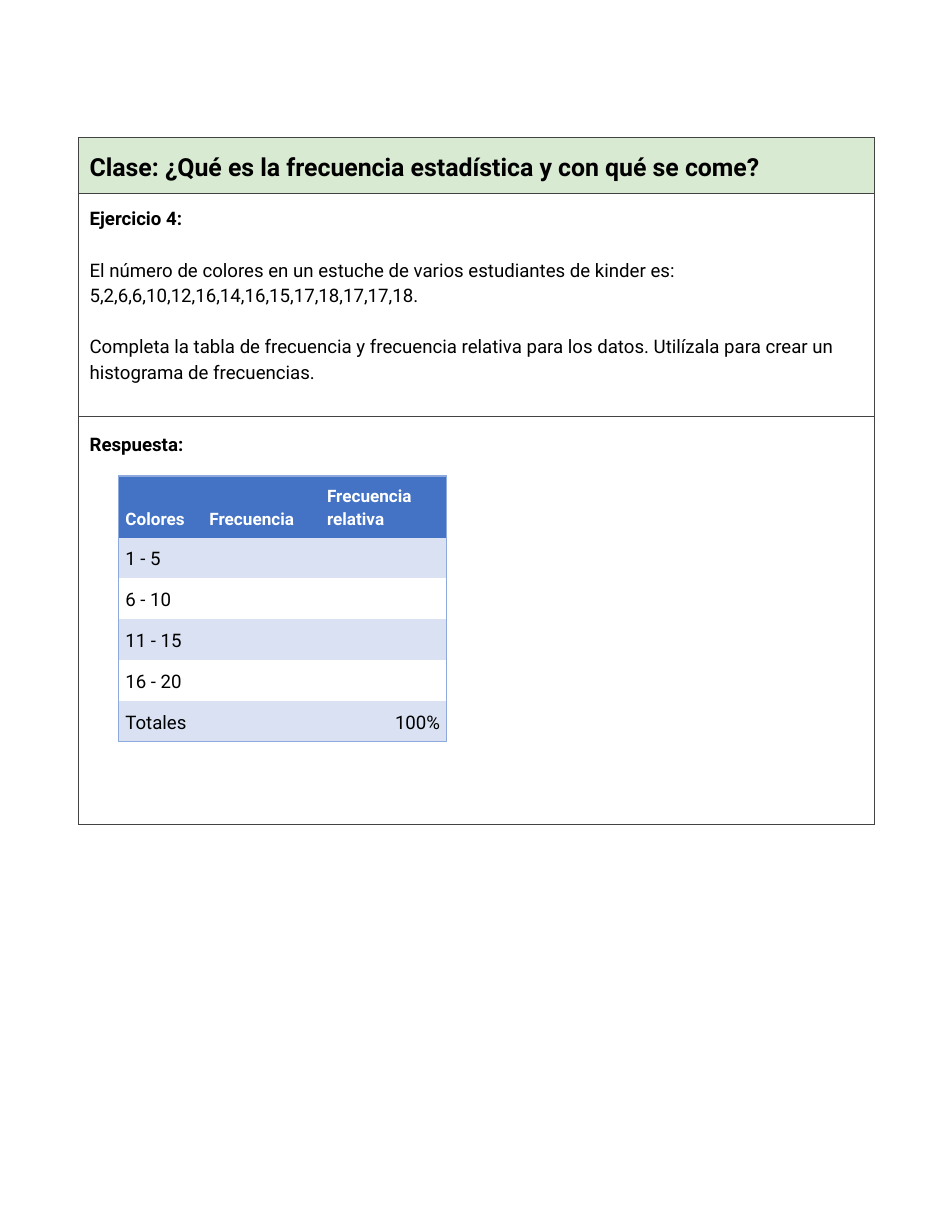
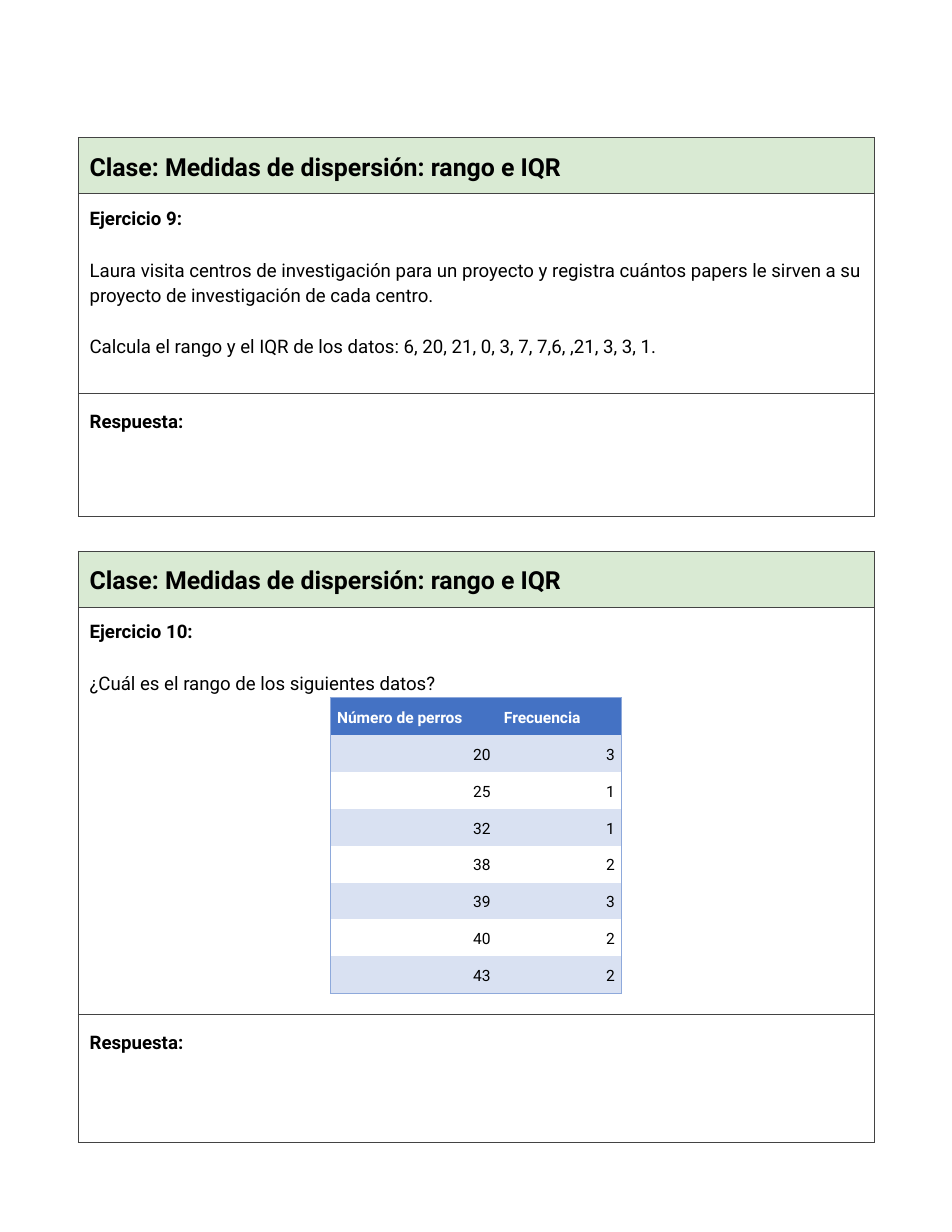
from dataclasses import dataclass

from lxml.etree import SubElement
from pptx import Presentation
from pptx.dml.color import RGBColor
from pptx.enum.text import MSO_ANCHOR, PP_ALIGN
from pptx.oxml.ns import qn
from pptx.util import Inches, Pt

DISPERSION = "Clase: Medidas de dispersión: rango e IQR"
ANSWER_LABEL = "Respuesta:"

SLIDES = [
    {
        "cards": [{
            "top": 1.23,
            "heights": [0.5, 1.99, 3.64],
            "title": "Clase: ¿Qué es la frecuencia estadística y con qué se come?",
            "exercise": [
                "Ejercicio 4:",
                "El número de colores en un estuche de varios estudiantes de kinder es: "
                "5,2,6,6,10,12,16,14,16,15,17,18,17,17,18.",
                "Completa la tabla de frecuencia y frecuencia relativa para los datos. "
                "Utilízala para crear un histograma de frecuencias.",
            ],
        }],
        "data": [{
            "left": 1.06, "top": 4.25,
            "widths": [0.75, 1.05, 1.13],
            "header_height": 0.54, "row_height": 0.36,
            "header_size": 11, "body_size": 12,
            "right_columns": [2],
            "rows": [
                ("Colores", "Frecuencia", "Frecuencia relativa"),
                ("1 - 5", "", ""),
                ("6 - 10", "", ""),
                ("11 - 15", "", ""),
                ("16 - 20", "", ""),
                ("Totales", "", "100%"),
            ],
        }],
    },
    {
        "cards": [
            {
                "top": 1.23,
                "heights": [0.5, 1.78, 1.1],
                "title": DISPERSION,
                "exercise": [
                    "Ejercicio 9:",
                    "Laura visita centros de investigación para un proyecto y registra "
                    "cuántos papers le sirven a su proyecto de investigación de cada centro.",
                    "Calcula el rango y el IQR de los datos: "
                    "6, 20, 21, 0, 3, 7, 7,6, ,21, 3, 3, 1.",
                ],
            },
            {
                "top": 4.92,
                "heights": [0.5, 3.64, 1.14],
                "title": DISPERSION,
                "exercise": [
                    "Ejercicio 10:",
                    "¿Cuál es el rango de los siguientes datos?",
                ],
            },
        ],
        "data": [{
            "left": 2.95, "top": 6.23,
            "widths": [1.49, 1.11],
            "header_height": 0.33, "row_height": 0.33,
            "header_size": 10, "body_size": 10,
            "right_columns": [0, 1],
            "rows": [
                ("Número de perros", "Frecuencia"),
                ("20", "3"),
                ("25", "1"),
                ("32", "1"),
                ("38", "2"),
                ("39", "3"),
                ("40", "2"),
                ("43", "2"),
            ],
        }],
    },
]


@dataclass(frozen=True)
class Theme:
    font: str = "Roboto"
    title_size: int = 16
    text_size: int = 12
    paragraph_gap: int = 17
    line_spacing: float = 1.15
    border_width: float = 0.75
    text: str = "000000"
    card_border: str = "434343"
    card_title: str = "D9EAD3"
    data_border: str = "8EA9DB"
    data_header: str = "4472C4"
    data_header_text: str = "FFFFFF"
    data_band: str = "D9E1F2"


THEME = Theme()
CARD_LEFT, CARD_WIDTH = 0.7, 7.11
CARD_MARGINS = (0.1, 0.1)
ANSWER_MARGINS = (0.1, 0.13)
DATA_MARGINS = (0.06, 0.07)
SIDES = ("L", "R", "T", "B")


def add_plain_table(slide, left, top, widths, heights):
    """Add a table without style bands and return it."""
    table = slide.shapes.add_table(
        len(heights), len(widths), Inches(left), Inches(top),
        Inches(sum(widths)), Inches(sum(heights))).table
    table.first_row = table.horz_banding = False
    for column, width in zip(table.columns, widths):
        column.width = Inches(width)
    for row, height in zip(table.rows, heights):
        row.height = Inches(height)
    return table


def dress_cell(cell, margins, border, sides, fill=None):
    """Set margins, draw the border on the given sides only, then fill."""
    cell.margin_left = cell.margin_right = Inches(margins[0])
    cell.margin_top = cell.margin_bottom = Inches(margins[1])
    properties = cell._tc.get_or_add_tcPr()
    for side in SIDES:
        line = SubElement(properties, qn(f"a:ln{side}"), w=str(Pt(THEME.border_width)))
        if side in sides:
            solid = SubElement(line, qn("a:solidFill"))
            SubElement(solid, qn("a:srgbClr"), val=border)
        else:
            SubElement(line, qn("a:noFill"))
    if fill:
        cell.fill.solid()
        cell.fill.fore_color.rgb = RGBColor.from_string(fill)
    else:
        cell.fill.background()


def write(paragraph, text, size, bold=False, color=THEME.text):
    paragraph.text = text
    paragraph.line_spacing = THEME.line_spacing
    for run in paragraph.runs:
        run.font.name = THEME.font
        run.font.size = Pt(size)
        run.font.bold = bold
        run.font.color.rgb = RGBColor.from_string(color)
    if not text:
        # An empty cell keeps its row low only if its end mark has a size.
        SubElement(paragraph._p, qn("a:endParaRPr"), sz=str(size * 100))


def add_card(slide, card):
    table = add_plain_table(slide, CARD_LEFT, card["top"], [CARD_WIDTH], card["heights"])
    title, exercise, answer = (table.cell(row, 0) for row in range(3))
    dress_cell(title, CARD_MARGINS, THEME.card_border, SIDES, THEME.card_title)
    dress_cell(exercise, CARD_MARGINS, THEME.card_border, SIDES)
    dress_cell(answer, ANSWER_MARGINS, THEME.card_border, SIDES)

    write(title.text_frame.paragraphs[0], card["title"], THEME.title_size, bold=True)
    write(answer.text_frame.paragraphs[0], ANSWER_LABEL, THEME.text_size, bold=True)
    heading, *statements = card["exercise"]
    frame = exercise.text_frame
    write(frame.paragraphs[0], heading, THEME.text_size, bold=True)
    for statement in statements:
        paragraph = frame.add_paragraph()
        write(paragraph, statement, THEME.text_size)
        paragraph.space_before = Pt(THEME.paragraph_gap)


def add_data_table(slide, data):
    rows, widths = data["rows"], data["widths"]
    last_row, last_column = len(rows) - 1, len(widths) - 1
    heights = [data["header_height"]] + [data["row_height"]] * last_row
    table = add_plain_table(slide, data["left"], data["top"], widths, heights)
    for r, values in enumerate(rows):
        header = r == 0
        fill = THEME.data_header if header else THEME.data_band if r % 2 else None
        for c, value in enumerate(values):
            cell = table.cell(r, c)
            on_edge = (c == 0, c == last_column, header, r == last_row)
            outer = [side for side, edge in zip(SIDES, on_edge) if edge]
            dress_cell(cell, DATA_MARGINS, THEME.data_border, outer, fill)
            cell.vertical_anchor = MSO_ANCHOR.BOTTOM
            paragraph = cell.text_frame.paragraphs[0]
            if header:
                write(paragraph, value, data["header_size"], True, THEME.data_header_text)
            else:
                write(paragraph, value, data["body_size"])
                if c in data["right_columns"]:
                    paragraph.alignment = PP_ALIGN.RIGHT


def main():
    deck = Presentation()
    deck.slide_width, deck.slide_height = Inches(8.5), Inches(11)
    for content in SLIDES:
        slide = deck.slides.add_slide(deck.slide_layouts[6])
        for card in content["cards"]:
            add_card(slide, card)
        for data in content["data"]:
            add_data_table(slide, data)
    deck.save("out.pptx")


if __name__ == "__main__":
    main()
